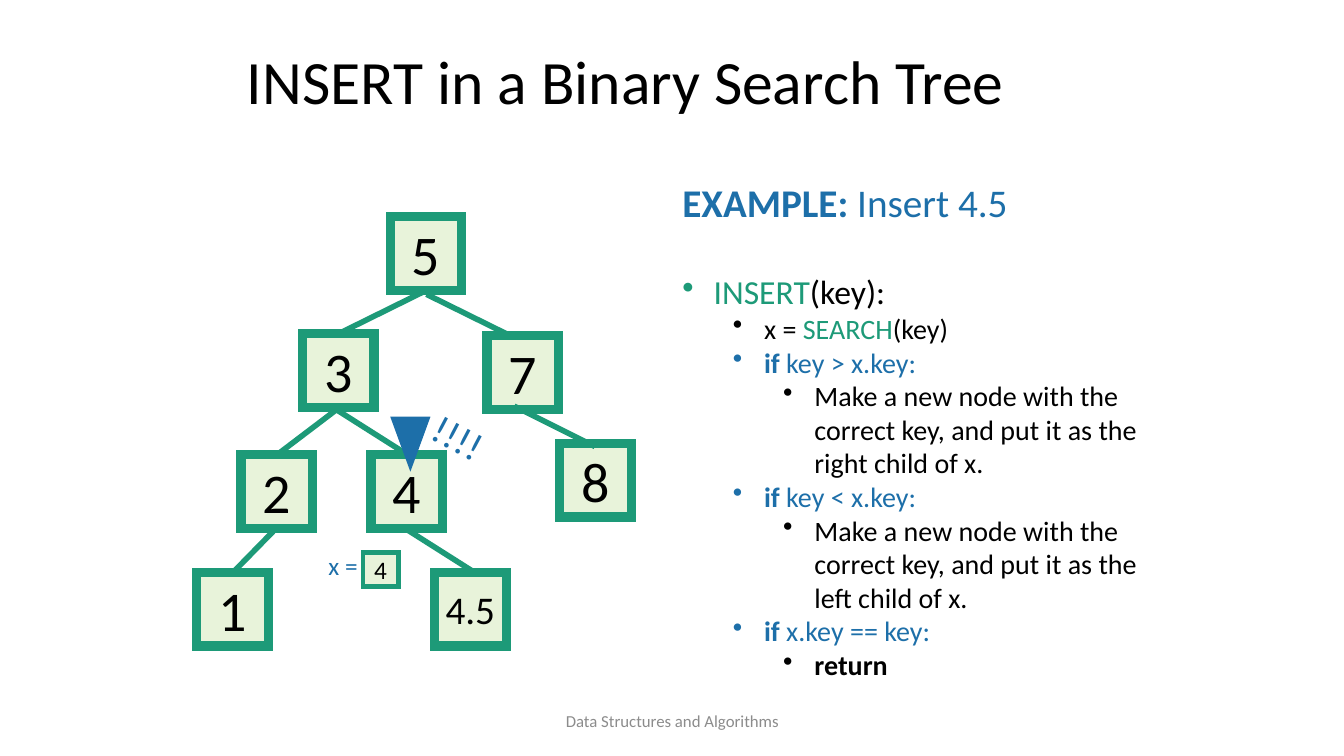
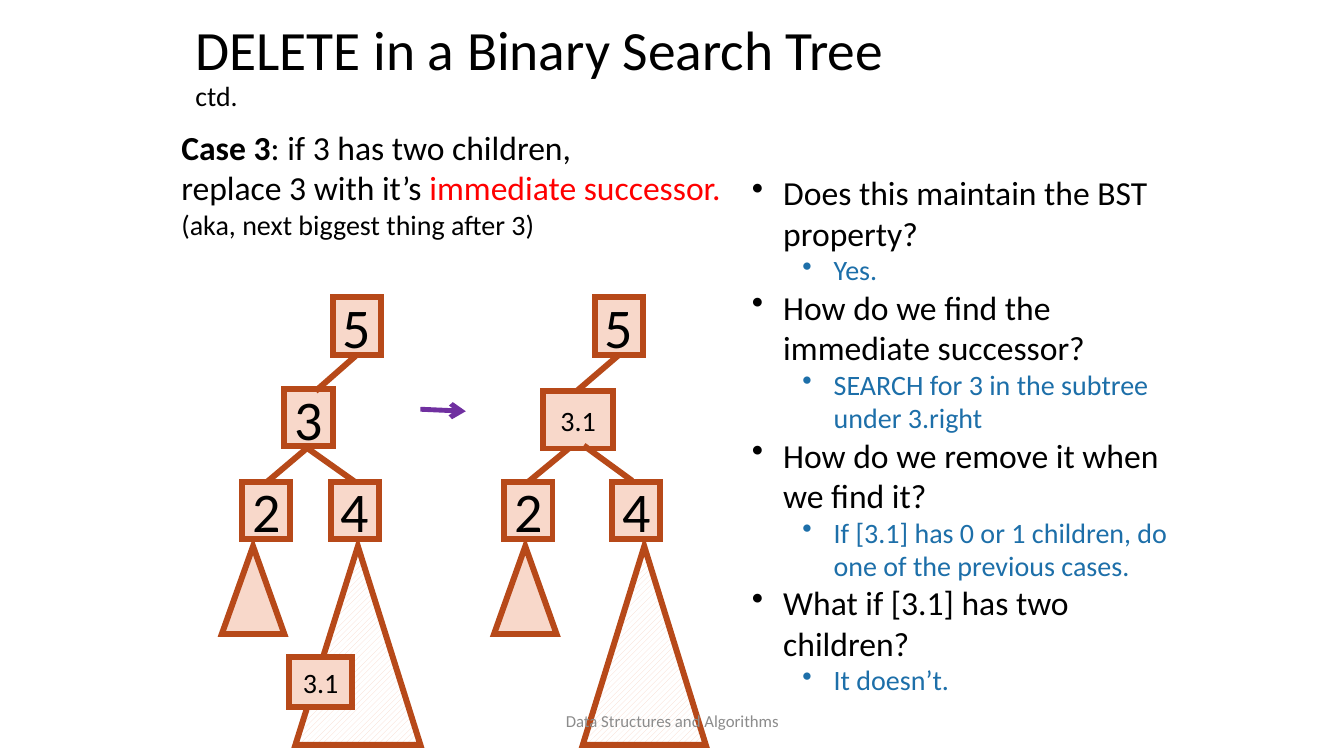
from lxml import etree
from pptx import Presentation
from pptx import util as u
from pptx.dml import color
from pptx.enum import dml, shapes, text
from pptx.oxml import ns

PX = 9144  # 100 px to the inch
hue = color.RGBColor.from_string
BLACK, BLUE, GREEN, RED = "000000", "1D6FA9", "1D9A78", "FF0000"
MINT, RUST, PEACH, GREY, PLUM = "E8F3DA", "B74919", "F8D8CA", "8C8C8C", "7030A0"
RECT, TRI = shapes.MSO_SHAPE.RECTANGLE, shapes.MSO_SHAPE.ISOSCELES_TRIANGLE
MID, CENTER = text.MSO_ANCHOR.MIDDLE, text.PP_ALIGN.CENTER


def put(page, at, paras=(), kind=None, fill=None, edge=None, width=1,
        hatch=False, anchor=None, align=None, space=None, spin=0):
    """Place a text box or a shape; paras holds (size, level, runs)."""
    at = [v * PX for v in at]
    if kind is None:
        item = page.shapes.add_textbox(*at)
    else:
        item = page.shapes.add_shape(kind, *at)
        item.shadow.inherit = False
        if hatch:
            item.fill.patterned()
            item.fill.pattern = dml.MSO_PATTERN.WIDE_UPWARD_DIAGONAL
            item.fill.fore_color.rgb = hue(fill)
            item.fill.back_color.rgb = hue("FFFFFF")
        else:
            item.fill.solid()
            item.fill.fore_color.rgb = hue(fill)
        item.line.color.rgb = hue(edge)
        item.line.width = u.Pt(width)
        etree.SubElement(item.line._get_or_add_ln(), ns.qn("a:miter"), lim="800000")
    item.rotation = spin
    frame = item.text_frame
    frame.word_wrap = True
    frame.vertical_anchor = anchor
    for i, (size, level, runs) in enumerate(paras):
        para = frame.add_paragraph() if i else frame.paragraphs[0]
        if level is not None:
            props = para._p.get_or_add_pPr()
            props.set("marL", str((31 + 50 * level) * PX))
            props.set("indent", str(-31 * PX))
            etree.SubElement(props, ns.qn("a:buChar"), char="•")
            para.level = level
        for name, val in dict(alignment=align, line_spacing=space).items():
            setattr(para, name, val)
        for words, tint, bold in runs:
            run = para.add_run()
            run.text = words
            run.font.color.rgb = hue(tint)
            for name, val in dict(name="Calibri", size=u.Pt(size), bold=bold).items():
                setattr(run.font, name, val)
    return item


def link(page, ends, tint, width):
    """Draw a straight line between two points."""
    line = page.shapes.add_connector(
        shapes.MSO_CONNECTOR.STRAIGHT, *[v * PX for v in ends])
    line.line.color.rgb = hue(tint)
    line.line.width = u.Pt(width)
    etree.SubElement(line._element.spPr, ns.qn("a:effectLst"))
    return line


# Shared styles
title = dict(anchor=MID, space=0.9)
node = dict(kind=RECT, anchor=MID, align=CENTER)
green = dict(node, fill=MINT, edge=GREEN, width=6.5)
tri = dict(kind=TRI, fill=PEACH, edge=RUST, width=4.25)
rust = dict(tri, **node)

deck = Presentation()
deck.slide_width, deck.slide_height = 1333 * PX, 750 * PX
ins, cut = [deck.slides.add_slide(deck.slide_layouts[6]) for _ in range(2)]

# Insert: title and tree
put(ins, (235, 40, 862, 87),
    [(44, None, [("INSERT in a Binary Search Tree", BLACK, False)])], **title)
for key, x, y, size in [
        ("4", 368, 451, 40), ("2", 239, 451, 40), ("8", 555, 440, 40),
        ("7", 483, 333, 40), ("1", 195, 568, 40), ("3", 300, 331, 40),
        ("5", 387, 215, 40), ("4.5", 431, 568, 28)]:
    put(ins, (x, y, 71, 73), [(size, None, [(key, BLACK, False)])], **green)
for ends in [
        (423, 292, 502, 331), (510, 403, 590, 443), (333, 406, 404, 451),
        (423, 288, 336, 331), (333, 407, 275, 451), (275, 523, 231, 568),
        (403, 525, 474, 570)]:
    link(ins, ends, GREEN, 4)

# Insert: marker at the found node
put(ins, (388, 414, 38, 52), kind=TRI, fill=BLUE, edge=BLUE, spin=180)
put(ins, (418, 411, 97, 57), [(28, None, [("!!!!", BLUE, False)])], spin=27.8)
put(ins, (316, 541, 70, 40), [(18, None, [("x =", BLUE, False)])])
put(ins, (360, 548, 35, 34), [(18, None, [("4", BLACK, False)])],
    **dict(green, width=3.25))

# Insert: example and steps
put(ins, (667, 172, 436, 57),
    [(28, None, [("EXAMPLE: ", BLUE, True), ("Insert 4.5", BLUE, False)])])
steps = [(24, 0, [("INSERT", GREEN, False), ("(key):", BLACK, False)]),
         (20, 1, [("x = ", BLACK, False), ("SEARCH", GREEN, False),
                  ("(key)", BLACK, False)])]
make = "Make a new node with the correct key, and put it as the {} child of x."
for test, act, bold in [("key > x.key:", make.format("right"), False),
                        ("key < x.key:", make.format("left"), False),
                        ("x.key == key:", "return", True)]:
    steps += [(20, 1, [("if ", BLUE, True), (test, BLUE, False)]),
              (20, 2, [(act, BLACK, bold)])]
put(ins, (667, 264, 473, 485), steps)

# Delete: title and case
put(cut, (184, 30, 888, 74),
    [(39.6, None, [("DELETE in a Binary Search Tree", BLACK, False)]),
     (19.8, None, [("ctd.", BLACK, False)])], **title)
put(cut, (170, 121, 568, 125), [
    (24, None, [("Case 3", BLACK, True), (": if 3 has two children,", BLACK, False)]),
    (24, None, [("replace 3 with it’s ", BLACK, False),
                ("immediate successor.", RED, False)]),
    (20, None, [("(aka, next biggest thing after 3)", BLACK, False)])])

# Delete: trees before and after
for left, mid, size, spot, four, small, big, wide, lines in [
        (240, "3", 40, (282, 386, 48, 57), 328, 220, 293, 124,
         [(354, 352, 313, 388), (304, 444, 352, 478), (304, 445, 265, 478)]),
        (500, "3.1", 20, (539, 388, 69, 57), 607, 490, 578, 122,
         [(614, 352, 572, 388), (579, 442, 627, 477), (564, 445, 524, 478)])]:
    for key, pt, at in [("5", 40, (left + 90, 295, 48, 57)), (mid, size, spot),
                        ("2", 40, (left, 478, 48, 57)),
                        ("4", 40, (four, 478, 48, 57))]:
        put(cut, at, [(pt, None, [(key, BLACK, False)])], **rust)
    for ends in lines:
        link(cut, ends, RUST, 4.25)
    put(cut, (small, 542, 62, 87), **tri)
    put(cut, (big, 542, wide, 197), hatch=True, **tri)
put(cut, (287, 652, 62, 49), [(20, None, [("3.1", BLACK, False)])], **rust)
arrow = link(cut, (417, 406, 462, 408), PLUM, 3.5)
etree.SubElement(arrow.line._get_or_add_ln(), ns.qn("a:tailEnd"), type="arrow")

# Delete: questions and answers
talk = []
for ask, reply in [
        ("Does this maintain the BST property?", "Yes."),
        ("How do we find the immediate successor?",
         "SEARCH for 3 in the subtree under 3.right"),
        ("How do we remove it when we find it?",
         "If [3.1] has 0 or 1 children, do one of the previous cases."),
        ("What if [3.1] has two children?", "It doesn’t.")]:
    talk += [(24, 0, [(ask, BLACK, False)]), (20, 1, [(reply, BLUE, False)])]
put(cut, (736, 166, 432, 535), talk)

# Footers
for page in (ins, cut):
    put(page, (442, 695, 450, 40),
        [(12, None, [("Data Structures and Algorithms", GREY, False)])],
        anchor=MID, align=CENTER)

deck.save("out.pptx")
